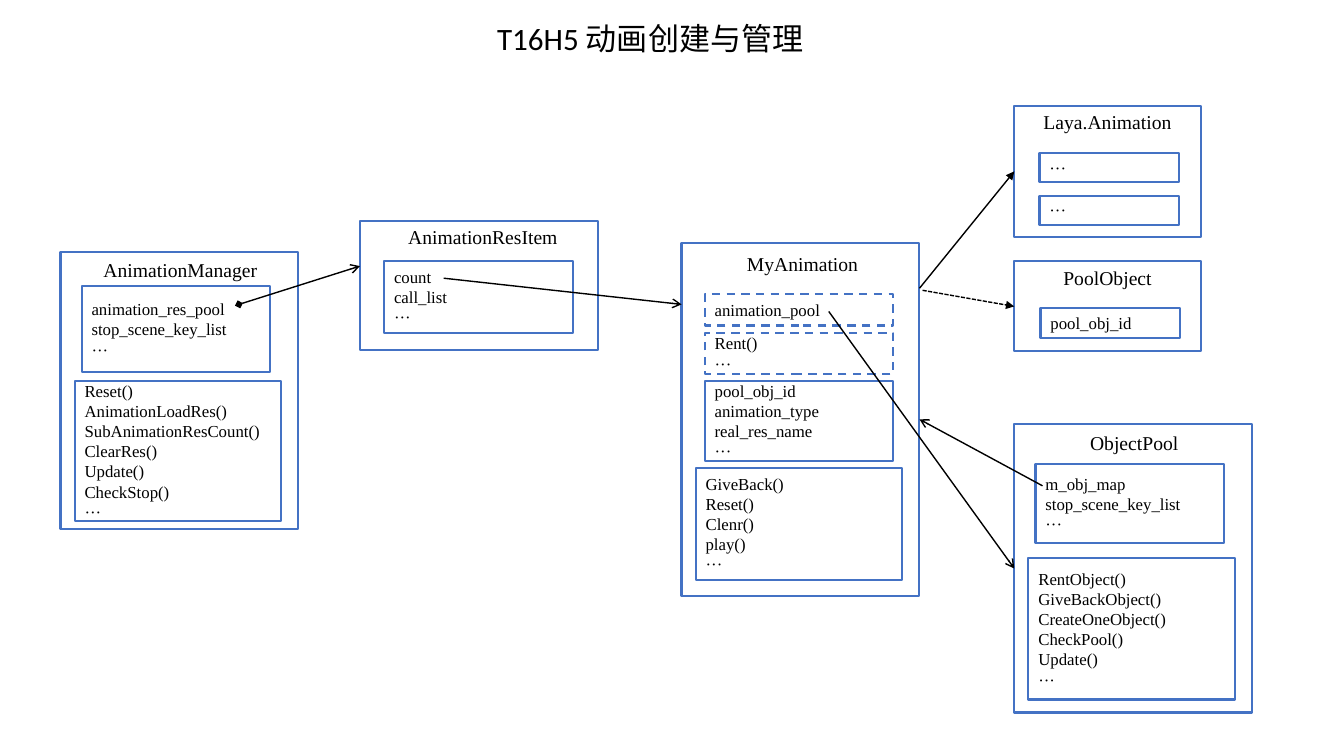
from pptx import Presentation, util as u
from pptx.dml.color import RGBColor
from pptx.enum import dml, shapes, text
from pptx.oxml.ns import qn
from lxml import etree

THEME = dict(
    fill="FFFFFF", border="4472C4", ink="000000",
    title_font="Calibri", class_font="Times New Roman",
    title_size=22.2, name_size=14, member_size=12,
    border_width=1.5, link_width=1,
)
DASH = dml.MSO_LINE.DASH
SHORT_DASH = dml.MSO_LINE.SQUARE_DOT
MORE = "···"
TITLE = "T16H5 动画创建与管理"
TITLE_BOX = (0.7, 0.16, 11.5, 0.49)

COLUMNS = dict(manager=0.6, item=3.57, animation=6.76, base=10.06)
CLASS_WIDTH, BASE_WIDTH, NAME_WIDTH = 2.36, 1.85, 2.12
MEMBER_WIDTHS = dict(fields=1.87, methods=2.05, slot=1.38)

CLASSES = [
    dict(name="AnimationManager", column="manager", top=2.5, width=CLASS_WIDTH, height=2.75,
         name_box=(0.13, -0.02, NAME_WIDTH, 0.39), members=[
             ("fields", 0.21, 0.34, 0.85, None, ["animation_res_pool", "stop_scene_key_list", MORE]),
             ("methods", 0.14, 1.28, 1.39, None,
              ["Reset()", "AnimationLoadRes()", "SubAnimationResCount()", "ClearRes()",
               "Update()", "CheckStop()", MORE])]),
    dict(name="AnimationResItem", column="item", top=2.19, width=CLASS_WIDTH, height=1.28,
         name_box=(0.16, 0, NAME_WIDTH, 0.32), members=[
             ("fields", 0.24, 0.4, 0.71, None, ["count", "call_list", MORE])]),
    dict(name="Laya.Animation", column="base", top=1.05, width=BASE_WIDTH, height=1.3,
         name_box=(0, 0, BASE_WIDTH, 0.32), members=[
             ("slot", 0.25, 0.47, 0.29, None, [MORE]),
             ("slot", 0.25, 0.89, 0.29, None, [MORE])]),
    dict(name="PoolObject", column="base", top=2.59, width=BASE_WIDTH, height=0.89,
         name_box=(0, 0, BASE_WIDTH, 0.32), members=[
             ("slot", 0.26, 0.47, 0.29, None, ["pool_obj_id"])]),
    dict(name="ObjectPool", column="base", top=4.21, width=CLASS_WIDTH, height=2.86,
         name_box=(0.13, 0, NAME_WIDTH, 0.36), members=[
             ("fields", 0.21, 0.39, 0.79, None, ["m_obj_map", "stop_scene_key_list", MORE]),
             ("methods", 0.14, 1.33, 1.4, None,
              ["RentObject()", "GiveBackObject()", "CreateOneObject()", "CheckPool()",
               "Update()", MORE])]),
    dict(name="MyAnimation", column="animation", top=2.41, width=CLASS_WIDTH, height=3.5,
         name_box=(0.14, 0, NAME_WIDTH, 0.42), members=[
             ("fields", 0.23, 0.51, 0.31, DASH, ["animation_pool"]),
             ("fields", 0.23, 0.89, 0.41, DASH, ["Rent()", MORE]),
             ("fields", 0.23, 1.37, 0.79, None,
              ["pool_obj_id", "animation_type", "real_res_name", MORE]),
             ("methods", 0.14, 2.23, 1.11, None,
              ["GiveBack()", "Reset()", "Clenr()", "play()", MORE])]),
]

LINKS = [
    dict(start=(2.37, 3.02), end=(3.57, 2.64), head="diamond", tail="arrow"),
    dict(start=(4.4, 2.76), end=(6.76, 3.02), tail="arrow"),
    dict(start=(9.12, 2.86), end=(10.06, 1.7), tail="triangle"),
    dict(start=(9.15, 2.88), end=(10.06, 3.04), tail="triangle", dash=SHORT_DASH),
    dict(start=(8.22, 3.09), end=(10.06, 5.64), tail="arrow"),
    dict(start=(10.34, 4.82), end=(9.12, 4.16), tail="arrow"),
]


def inches(values):
    return [u.Inches(v) for v in values]


def color(key):
    return RGBColor.from_string(THEME[key])


def write(sp, lines, font, size, align, spacing=1.0):
    tf = sp.text_frame
    for key, value in dict(word_wrap=True, vertical_anchor=text.MSO_ANCHOR.MIDDLE).items():
        setattr(tf, key, value)
    for i, line in enumerate(lines):
        p = tf.paragraphs[0] if i == 0 else tf.add_paragraph()
        p.alignment, p.line_spacing = align, spacing
        r = p.add_run()
        r.text = line
        for key, value in dict(name=THEME[font], size=u.Pt(THEME[size])).items():
            setattr(r.font, key, value)
        r.font.color.rgb = color("ink")


def add_label(s, box, line, font, size, spacing=1.0):
    sp = s.shapes.add_textbox(*inches(box))
    write(sp, [line], font, size, text.PP_ALIGN.CENTER, spacing)


def add_box(s, box, dash=None):
    sp = s.shapes.add_shape(shapes.MSO_SHAPE.RECTANGLE, *inches(box))
    sp.shadow.inherit = False
    sp.fill.solid()
    sp.fill.fore_color.rgb = color("fill")
    sp.line.color.rgb = color("border")
    sp.line.width = u.Pt(THEME["border_width"])
    if dash:
        sp.line.dash_style = dash
    return sp


def add_class(s, item):
    left, top = COLUMNS[item["column"]], item["top"]
    add_box(s, (left, top, item["width"], item["height"]))
    dx, dy, width, height = item["name_box"]
    add_label(s, (left + dx, top + dy, width, height), item["name"], "class_font", "name_size")
    for kind, dx, dy, height, dash, lines in item["members"]:
        sp = add_box(s, (left + dx, top + dy, MEMBER_WIDTHS[kind], height), dash)
        write(sp, lines, "class_font", "member_size", text.PP_ALIGN.LEFT)


def add_link(s, link):
    sp = s.shapes.add_connector(shapes.MSO_CONNECTOR.STRAIGHT,
                                *inches(link["start"] + link["end"]))
    sp.line.color.rgb = color("ink")
    sp.line.width = u.Pt(THEME["link_width"])
    if "dash" in link:
        sp.line.dash_style = link["dash"]
    ln = sp.line._get_or_add_ln()
    for end in ("head", "tail"):
        if end in link:
            etree.SubElement(ln, qn(f"a:{end}End"), type=link[end])
    etree.SubElement(sp._element.spPr, qn("a:effectLst"))


prs = Presentation()
prs.slide_width, prs.slide_height = inches((13.33, 7.5))
s = prs.slides.add_slide(prs.slide_layouts[6])
add_label(s, TITLE_BOX, TITLE, "title_font", "title_size", 0.9)
for item in CLASSES:
    add_class(s, item)
for link in LINKS:
    add_link(s, link)
prs.save("out.pptx")
